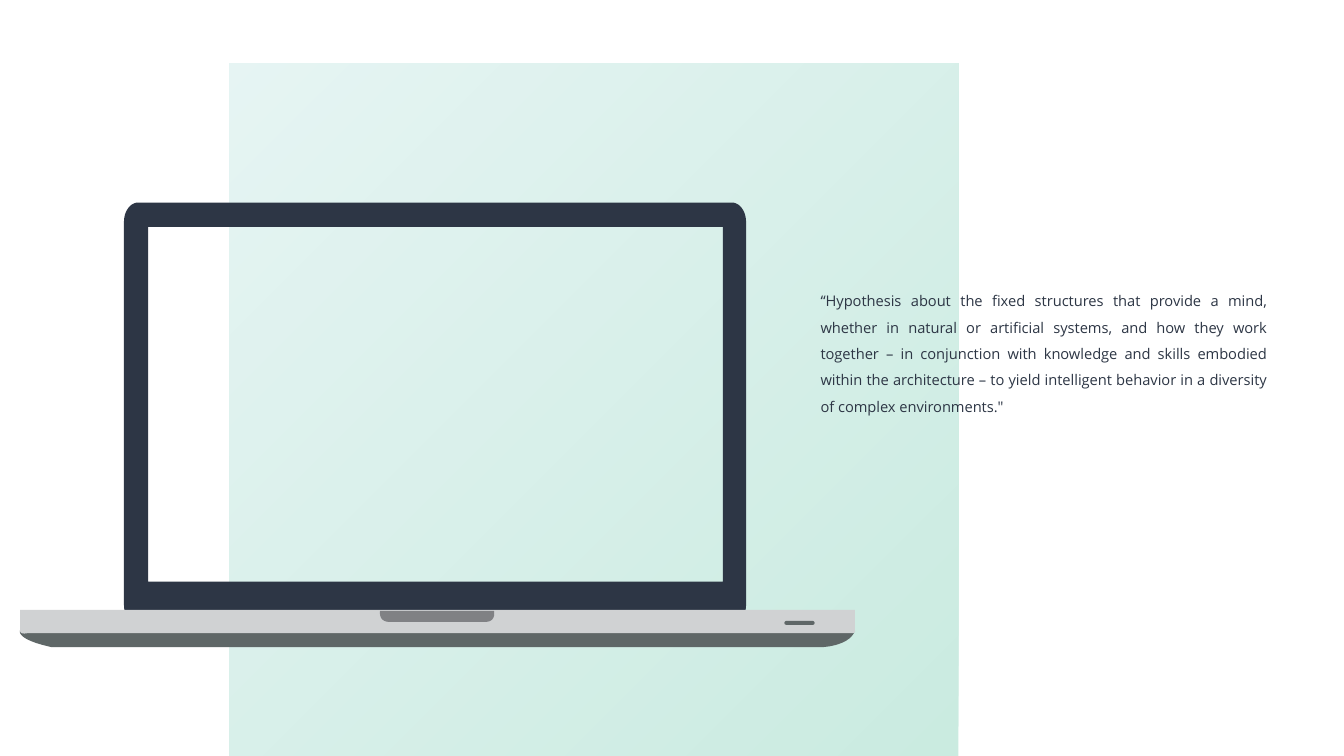
from lxml import etree
from pptx import Presentation
from pptx.dml.color import RGBColor
from pptx.enum.shapes import MSO_SHAPE
from pptx.enum.text import MSO_AUTO_SIZE, PP_ALIGN
from pptx.oxml.ns import qn
from pptx.util import Inches, Pt

RECTANGLE = MSO_SHAPE.RECTANGLE
ROUNDED = MSO_SHAPE.ROUNDED_RECTANGLE
JUSTIFY = PP_ALIGN.JUSTIFY
FIT_SHAPE = MSO_AUTO_SIZE.SHAPE_TO_FIT_TEXT

NAVY = "2D3645"
SLATE = "5F6767"
SILVER = "D0D2D3"
GRAY = "808184"
GREEN = "50BE99"
AQUA = "ADDDDA"

QUOTE = (
    "“Hypothesis about the fixed structures that provide a mind, whether in natural "
    "or artificial systems, and how they work together – in conjunction with knowledge "
    "and skills embodied within the architecture – to yield intelligent behavior in a "
    "diversity of complex environments.\""
)

FRAME = [
    (7.26, 2.01), (1.37, 2.01), (1.29, 2.01, 1.23, 2.1, 1.23, 2.2),
    (1.23, 6), (1.23, 6.11, 1.29, 6.2, 1.37, 6.2),
    (7.26, 6.2), (7.34, 6.2, 7.4, 6.11, 7.4, 6),
    (7.4, 2.2), (7.4, 2.1, 7.34, 2.01, 7.26, 2.01),
]
SCREEN = [(7.17, 5.77), (7.17, 2.25), (1.47, 2.25), (1.47, 5.77)]
UNDERSIDE = [
    (0.2, 6.25), (0.2, 6.25, 0.14, 6.34, 0.51, 6.42),
    (8.16, 6.42), (8.16, 6.42, 8.4, 6.41, 8.47, 6.28), (8.47, 6.21),
]
DECK_TOP = [
    (0.2, 6.05), (8.48, 6.05), (8.48, 6.26),
    (8.48, 6.26, 8.5, 6.29, 8.39, 6.28),
    (0.28, 6.28), (0.28, 6.28, 0.2, 6.3, 0.2, 6.26),
]
NOTCH = [
    (3.77, 6.06), (3.77, 6.06, 3.75, 6.16, 3.85, 6.17),
    (4.81, 6.17), (4.81, 6.17, 4.92, 6.18, 4.9, 6.06),
]


def color(code):
    return RGBColor.from_string(code)


def trace(outline, steps=12):
    points = []
    for segment in outline:
        if len(segment) == 2:
            points.append(segment)
            continue
        corners = [points[-1], segment[:2], segment[2:4], segment[4:]]
        for step in range(1, steps + 1):
            t = step / steps
            weights = ((1 - t) ** 3, 3 * t * (1 - t) ** 2, 3 * t * t * (1 - t), t ** 3)
            points.append(tuple(
                sum(weight * corner[axis] for weight, corner in zip(weights, corners))
                for axis in (0, 1)
            ))
    return [(Inches(x), Inches(y)) for x, y in points]


class SlidePainter:
    font = "Open Sans"
    size = Pt(10.5)
    ink = NAVY

    def __init__(self, page):
        self.page = page

    def gradient_panel(self, left, top, width, height, stops, alpha):
        panel = self.page.shapes.add_shape(
            RECTANGLE, Inches(left), Inches(top), Inches(width), Inches(height))
        panel.shadow.inherit = False
        panel.line.fill.background()
        panel.rotation = 90
        panel.fill.gradient()
        panel.fill.gradient_angle = 225
        for stop, code in zip(panel.fill.gradient_stops, stops):
            stop.color.rgb = color(code)
        for element in panel.fill._xPr.iter(qn("a:srgbClr")):
            etree.SubElement(element, qn("a:alpha")).set("val", str(alpha * 1000))

    def finish(self, shape, code):
        shape.shadow.inherit = False
        shape.fill.solid()
        shape.fill.fore_color.rgb = color(code)
        shape.line.fill.background()

    def freeform(self, group, code, *outlines):
        contours = [trace(outline) for outline in outlines]
        builder = group.shapes.build_freeform(*contours[0][0])
        builder.add_line_segments(contours[0][1:])
        for contour in contours[1:]:
            builder.move_to(*contour[0])
            builder.add_line_segments(contour[1:])
        self.finish(builder.convert_to_shape(), code)

    def bar(self, group, left, top, width, height, code):
        bar = group.shapes.add_shape(
            ROUNDED, Inches(left), Inches(top), Inches(width), Inches(height))
        bar.adjustments[0] = 0.5
        self.finish(bar, code)

    def text(self, left, top, width, height, wording):
        box = self.page.shapes.add_textbox(
            Inches(left), Inches(top), Inches(width), Inches(height))
        box.text_frame.word_wrap = True
        box.text_frame.auto_size = FIT_SHAPE
        para = box.text_frame.paragraphs[0]
        para.alignment = JUSTIFY
        para.line_spacing = 1.5
        span = para.add_run()
        span.text = wording
        span.font.name = self.font
        span.font.size = self.size
        span.font.color.rgb = color(self.ink)


def main():
    deck = Presentation()
    deck.slide_width = Inches(13.33)
    deck.slide_height = Inches(7.5)
    page = deck.slides.add_slide(deck.slide_layouts[6])
    painter = SlidePainter(page)

    painter.gradient_panel(2.45, 0.45, 6.88, 7.23, (GREEN, AQUA), 30)

    laptop = page.shapes.add_group_shape()
    painter.freeform(laptop, NAVY, FRAME, SCREEN)
    painter.freeform(laptop, SLATE, UNDERSIDE)
    painter.freeform(laptop, SILVER, DECK_TOP)
    painter.bar(laptop, 7.78, 6.16, 0.3, 0.04, SLATE)
    painter.freeform(laptop, GRAY, NOTCH)

    painter.text(8.04, 2.76, 4.63, 1.4, QUOTE)
    deck.save("out.pptx")


if __name__ == "__main__":
    main()
